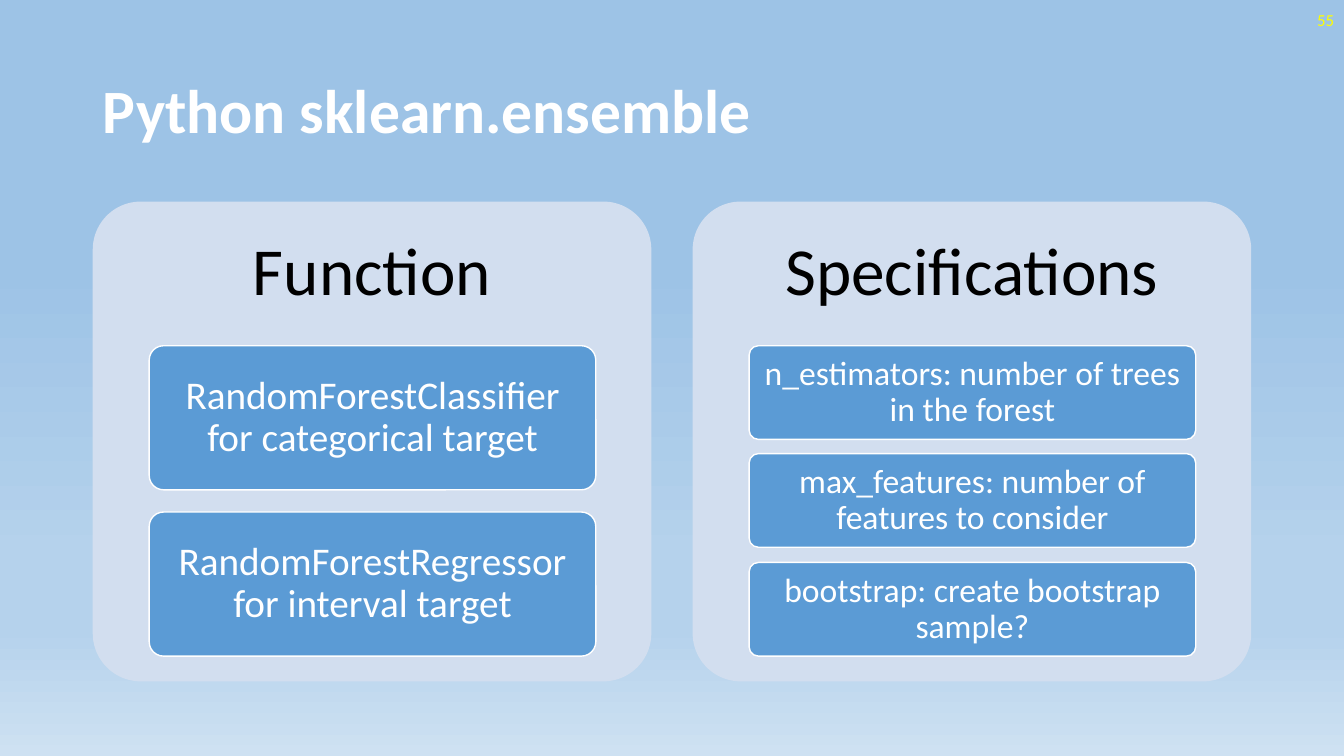
from dataclasses import dataclass

from lxml.etree import SubElement
from pptx import Presentation
from pptx.dml.color import RGBColor
from pptx.enum.shapes import MSO_SHAPE
from pptx.enum.text import MSO_ANCHOR, PP_ALIGN
from pptx.oxml.ns import qn
from pptx.util import Emu, Pt

EMU_PER_PX = 9144  # 100 px to the inch


@dataclass(frozen=True)
class Theme:
    font: str = "Calibri"
    white: str = "FFFFFF"
    black: str = "000000"
    yellow: str = "FFFF00"
    panel: str = "D2DEEF"
    card: str = "5B9BD5"
    backdrop: tuple = ((35, "9DC3E6"), (74, "B5D2EC"), (83, "B5D2EC"), (100, "CEE1F2"))
    title_size: int = 44
    heading_size: int = 48
    number_size: int = 12


THEME = Theme()

PANEL_TOP, PANEL_WIDTH, PANEL_HEIGHT = 200, 554, 476
PANEL_LEFT, PANEL_STEP = 92, 595
HEADING_HEIGHT = 143
CARD_INDENT, CARD_WIDTH = 56, 443
CARDS_HEIGHT = 308
GAP_RATIO = 0.154  # gap between cards as a share of card height

PANELS = [
    ("Function", 28, [
        "RandomForestClassifier for categorical target",
        "RandomForestRegressor for interval target",
    ]),
    ("Specifications", 24, [
        "n_estimators: number of trees in the forest",
        "max_features: number of features to consider",
        "bootstrap: create bootstrap sample?",
    ]),
]


def px(length):
    return Emu(round(length) * EMU_PER_PX)


def place(left, top, width, height):
    return px(left), px(top), px(width), px(height)


def write_text(box, text, *, size, color, bold=False, align=PP_ALIGN.CENTER,
               spacing=0.9, inset=(10, 5)):
    frame = box.text_frame
    frame.word_wrap = True
    frame.vertical_anchor = MSO_ANCHOR.MIDDLE
    frame.margin_left = frame.margin_right = px(inset[0])
    frame.margin_top = frame.margin_bottom = px(inset[1])
    para = frame.paragraphs[0]
    para.alignment = align
    para.line_spacing = spacing
    span = para.add_run()
    span.text = text
    span.font.name = THEME.font
    span.font.size = Pt(size)
    span.font.bold = bold
    span.font.color.rgb = RGBColor.from_string(color)


def add_text(page, area, text, **style):
    write_text(page.shapes.add_textbox(*place(*area)), text, **style)


def add_rounded(page, area, fill, line=None):
    box = page.shapes.add_shape(MSO_SHAPE.ROUNDED_RECTANGLE, *place(*area))
    box.adjustments[0] = 0.1
    box.shadow.inherit = False
    box.fill.solid()
    box.fill.fore_color.rgb = RGBColor.from_string(fill)
    if line:
        box.line.color.rgb = RGBColor.from_string(line)
        box.line.width = Pt(1)
    else:
        box.line.fill.background()
    return box


def paint_background(page):
    fill = page.background.fill
    fill.gradient()
    fill.gradient_angle = 270
    stops = page.element.find(".//" + qn("a:gsLst"))
    for stop in list(stops):
        stops.remove(stop)
    for percent, color in THEME.backdrop:
        stop = SubElement(stops, qn("a:gs"), pos=str(percent * 1000))
        SubElement(stop, qn("a:srgbClr"), val=color)


def add_panel(page, left, heading, card_size, cards):
    add_rounded(page, (left, PANEL_TOP, PANEL_WIDTH, PANEL_HEIGHT), THEME.panel)
    add_text(page, (left, PANEL_TOP, PANEL_WIDTH, HEADING_HEIGHT), heading,
             size=THEME.heading_size, color=THEME.black, inset=(20, 20))

    # Cards share the space below the heading
    count = len(cards)
    card_height = CARDS_HEIGHT / (count + (count - 1) * GAP_RATIO)
    for index, text in enumerate(cards):
        top = PANEL_TOP + HEADING_HEIGHT + index * card_height * (1 + GAP_RATIO)
        card = add_rounded(page, (left + CARD_INDENT, top, CARD_WIDTH, card_height),
                           THEME.card, THEME.white)
        write_text(card, text, size=card_size, color=THEME.white, inset=(7, 5))


def main():
    deck = Presentation()
    deck.slide_width, deck.slide_height = px(1333), px(750)
    page = deck.slides.add_slide(deck.slide_layouts[5])
    paint_background(page)

    # Title
    title = page.shapes.title
    title.left, title.top, title.width, title.height = place(92, 40, 1150, 145)
    write_text(title, "Python sklearn.ensemble", size=THEME.title_size,
               color=THEME.white, bold=True, align=PP_ALIGN.LEFT)

    # Panels with their cards
    for index, (heading, card_size, cards) in enumerate(PANELS):
        add_panel(page, PANEL_LEFT + index * PANEL_STEP, heading, card_size, cards)

    # Page number
    add_text(page, (1033, 0, 300, 40), "55", size=THEME.number_size,
             color=THEME.yellow, align=PP_ALIGN.RIGHT, spacing=1.0)

    deck.save("out.pptx")


if __name__ == "__main__":
    main()
